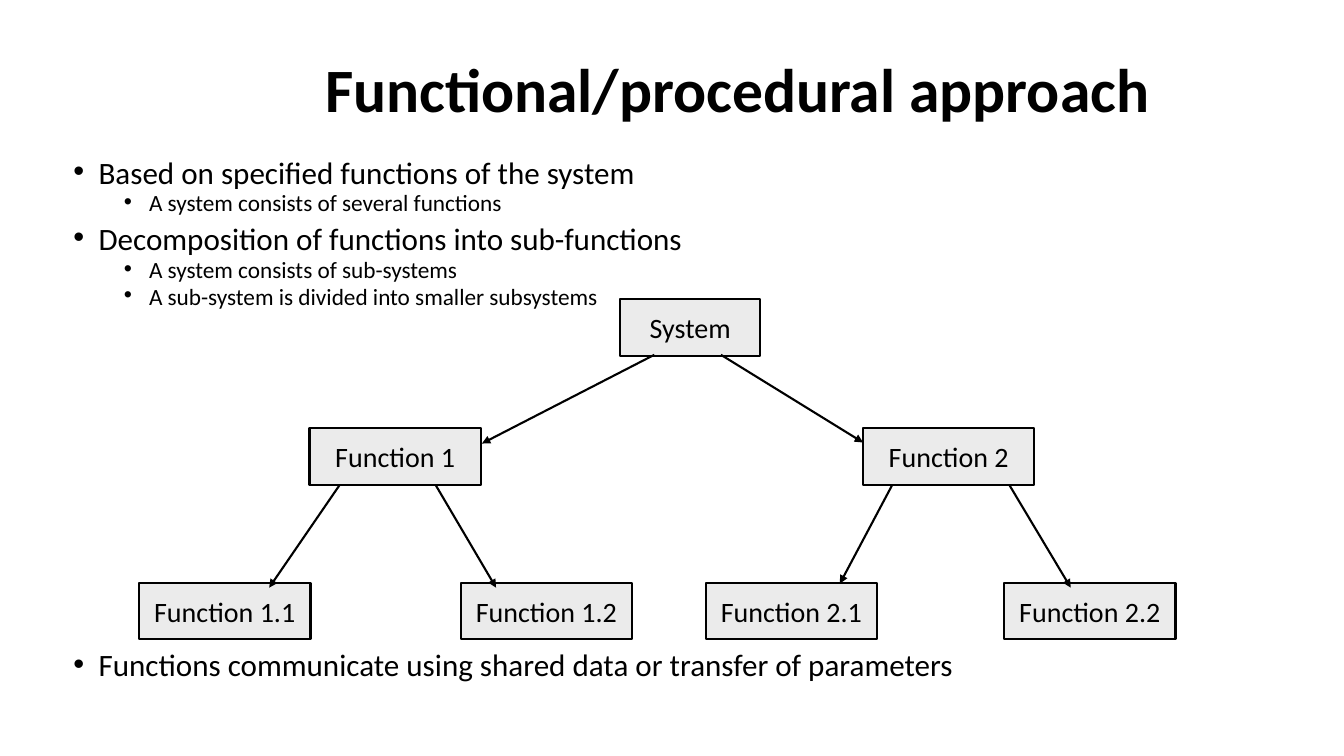
"""Build a slide on the functional/procedural approach with a function tree."""
from lxml.etree import SubElement
from pptx import Presentation
from pptx.dml.color import RGBColor as Rgb
from pptx.enum.shapes import MSO_CONNECTOR as Conn, MSO_SHAPE as Shape
from pptx.enum.text import MSO_ANCHOR as Anchor, PP_ALIGN as Align
from pptx.oxml.ns import qn
from pptx.util import Inches, Pt

COLORS = {"ink": "000000", "box": "EBEBEB"}
INK = Rgb.from_string(COLORS["ink"])


def style(para, size, bold=False):
    """Set the font of a paragraph."""
    font = para.font
    font.name, font.size, font.bold = "Calibri", Pt(size), bold
    font.color.rgb = INK


def add_list(top, height, items):
    """Add a bulleted list of (level, text) items."""
    box = slide.shapes.add_textbox(
        Inches(0.63), Inches(top), Inches(12.14), Inches(height))
    frame = box.text_frame
    frame.word_wrap = True
    for i, (level, text) in enumerate(items):
        para = frame.add_paragraph() if i else frame.paragraphs[0]
        para.text, para.level = text, level
        para.line_spacing = 0.7
        para.space_before = Pt((5 if level else 10) if i else 0)
        props = para._p.get_or_add_pPr()
        props.set("marL", str(Inches(0.25 + 0.5 * level)))
        props.set("indent", str(Inches(-0.25)))
        SubElement(props, qn("a:buFont"), typeface="Arial")
        SubElement(props, qn("a:buChar"), char="•")
        style(para, 16.6 if level else 22.2)


prs = Presentation()
prs.slide_width, prs.slide_height = Inches(13.33), Inches(7.5)
slide = prs.slides.add_slide(prs.slide_layouts[5])

title = slide.shapes.title
title.left, title.top = Inches(2.23), Inches(0.4)
title.width, title.height = Inches(10.18), Inches(1.04)
title.text_frame.text = "Functional/procedural approach"
title.text_frame.vertical_anchor = Anchor.MIDDLE
head = title.text_frame.paragraphs[0]
head.alignment, head.line_spacing = Align.CENTER, 0.9
style(head, 44, True)

add_list(1.57, 1.6, [
    (0, "Based on specified functions of the system"),
    (1, "A system consists of several functions"),
    (0, "Decomposition of functions into sub-functions"),
    (1, "A system consists of sub-systems"),
    (1, "A sub-system is divided into smaller subsystems"),
])
add_list(6.46, 0.43, [
    (0, "Functions communicate using shared data or transfer of parameters"),
])

rows = [
    (2.97, 1.39, [("System", 6.15)]),
    (4.25, 1.7, [("Function 1", 3.07), ("Function 2", 8.56)]),
    (5.78, 1.7, [("Function 1.1", 1.38), ("Function 1.2", 4.57),
                 ("Function 2.1", 7), ("Function 2.2", 9.96)]),
]
for top, width, nodes in rows:
    for name, left in nodes:
        node = slide.shapes.add_shape(
            Shape.RECTANGLE, Inches(left), Inches(top),
            Inches(width), Inches(0.56))
        node.shadow.inherit = False
        node.fill.solid()
        node.fill.fore_color.rgb = Rgb.from_string(COLORS["box"])
        node.line.color.rgb, node.line.width = INK, Pt(1.5)
        frame = node.text_frame
        frame.margin_left = frame.margin_right = 0
        frame.margin_top = frame.margin_bottom = 0
        frame.vertical_anchor = Anchor.MIDDLE
        frame.text = name
        label = frame.paragraphs[0]
        label.alignment = Align.CENTER
        style(label, 20)

arrows = [
    (6.49, 3.52, 4.78, 4.4), (7.15, 3.52, 8.56, 4.39),
    (3.37, 4.81, 2.67, 5.83), (4.32, 4.81, 4.92, 5.83),
    (10.01, 4.81, 10.62, 5.83), (8.85, 4.81, 8.33, 5.79),
]
for ends in arrows:
    arrow = slide.shapes.add_connector(
        Conn.STRAIGHT, *[Inches(v) for v in ends])
    arrow.line.color.rgb, arrow.line.width = INK, Pt(1.5)
    SubElement(arrow.line._get_or_add_ln(), qn("a:tailEnd"), type="triangle")
    SubElement(arrow._element.spPr, qn("a:effectLst"))

prs.save("out.pptx")
